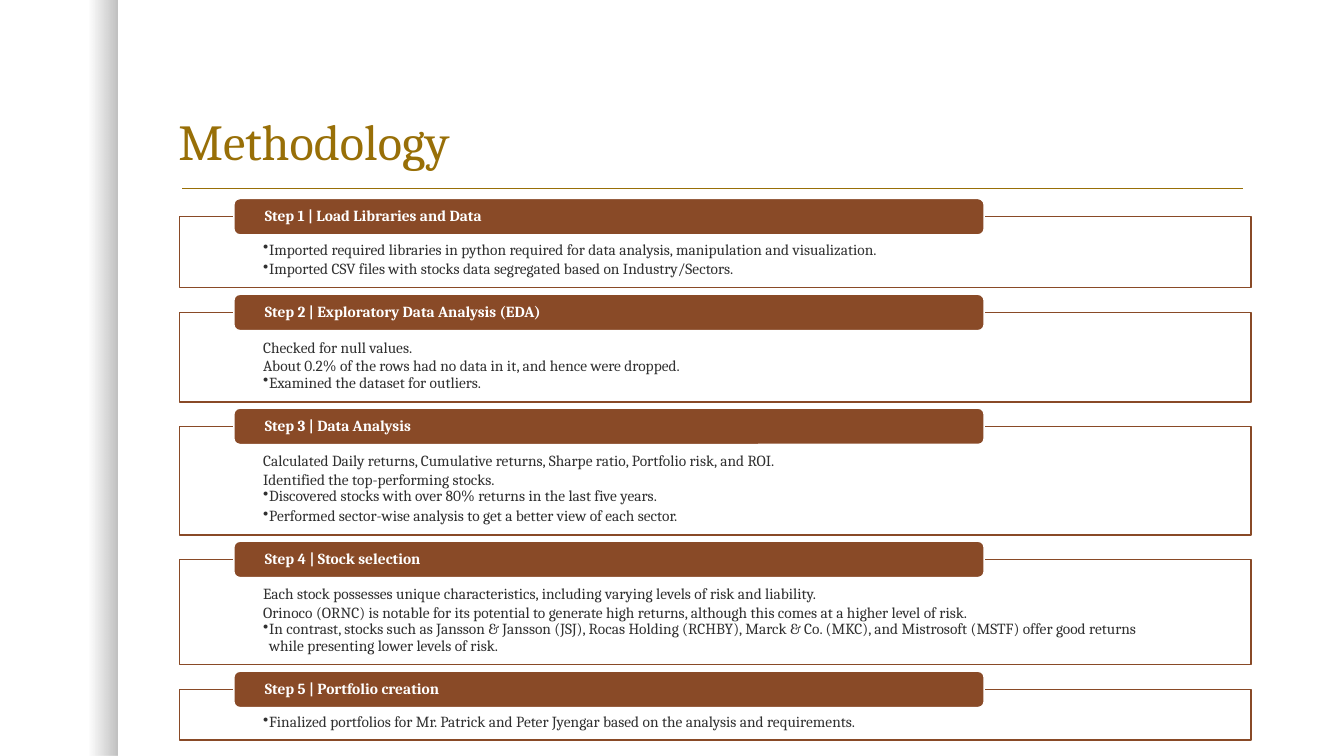
from lxml.etree import SubElement
from pptx import Presentation
from pptx.dml.color import RGBColor
from pptx.enum.shapes import MSO_CONNECTOR, MSO_SHAPE
from pptx.enum.text import MSO_ANCHOR, PP_ALIGN
from pptx.oxml.ns import qn
from pptx.util import Inches, Pt

GOLD = RGBColor(0x98, 0x6F, 0x07)
BROWN = RGBColor(0x89, 0x4A, 0x27)
INK = RGBColor(0x30, 0x30, 0x30)
WHITE = RGBColor(0xFF, 0xFF, 0xFF)
BLACK = RGBColor(0, 0, 0)

TITLE_FONT = {"name": "Cambria", "size": Pt(36)}
HEADING_FONT = {"name": "Cambria", "size": Pt(11), "bold": True}
BODY_FONT = {"name": "Cambria", "size": Pt(11)}
BULLET_INDENT = Inches(0.06)

# Heading, panel top, panel height, plain lines, bulleted lines
STEPS = [
    ("Step 1 | Load Libraries and Data", 2.15, 0.7, [], [
        "Imported required libraries in python required for data analysis, "
        "manipulation and visualization.",
        "Imported CSV files with stocks data segregated based on Industry/Sectors."]),
    ("Step 2 | Exploratory Data Analysis (EDA)", 3.1, 0.89, [
        "Checked for null values.",
        "About 0.2% of the rows had no data in it, and hence were dropped."], [
        "Examined the dataset for outliers."]),
    ("Step 3 | Data Analysis", 4.23, 1.08, [
        "Calculated Daily returns, Cumulative returns, Sharpe ratio, "
        "Portfolio risk, and ROI.",
        "Identified the top-performing stocks."], [
        "Discovered stocks with over 80% returns in the last five years.",
        "Performed sector-wise analysis to get a better view of each sector."]),
    ("Step 4 | Stock selection", 5.55, 1.04, [
        "Each stock possesses unique characteristics, including varying levels "
        "of risk and liability.",
        "Orinoco (ORNC) is notable for its potential to generate high returns, "
        "although this comes at a higher level of risk."], [
        "In contrast, stocks such as Jansson & Jansson (JSJ), Rocas Holding (RCHBY), "
        "Marck & Co. (MKC), and Mistrosoft (MSTF) offer good returns while "
        "presenting lower levels of risk."]),
    ("Step 5 | Portfolio creation", 6.84, 0.5, [], [
        "Finalized portfolios for Mr. Patrick and Peter Jyengar based on the "
        "analysis and requirements."]),
]


def apply(target, values):
    for name, value in values.items():
        setattr(target, name, value)


def set_alpha(color_element, percent):
    SubElement(color_element, qn("a:alpha"), val=str(percent * 1000))


def add_block(page, kind, box, fill, line):
    block = page.shapes.add_shape(kind, *map(Inches, box))
    block.shadow.inherit = False
    block.fill.solid()
    block.fill.fore_color.rgb = fill
    block.line.color.rgb = line
    block.line.width = Pt(1)
    return block


def set_frame(frame, anchor, left, top, right, bottom):
    apply(frame, {"word_wrap": True, "vertical_anchor": anchor,
                  "margin_left": Inches(left), "margin_top": Inches(top),
                  "margin_right": Inches(right), "margin_bottom": Inches(bottom)})


def write(para, text, font, color, spacing=0.9, after=0):
    apply(para, {"alignment": PP_ALIGN.LEFT, "line_spacing": spacing,
                 "space_after": Pt(after)})
    span = para.add_run()
    span.text = text
    apply(span.font, font)
    span.font.color.rgb = color


def add_bullet(para):
    properties = para._p.get_or_add_pPr()
    properties.set("marL", str(BULLET_INDENT))
    properties.set("indent", str(-BULLET_INDENT))
    SubElement(properties, qn("a:buChar"), char="•")


def add_edge_shade(page, box):
    shade = page.shapes.add_shape(MSO_SHAPE.RECTANGLE, *map(Inches, box))
    shade.shadow.inherit = False
    shade.line.fill.background()
    shade.fill.gradient()
    shade.fill.gradient_angle = 0
    for stop, position in zip(shade.fill.gradient_stops, (0.75, 1)):
        stop.position = position
        stop.color.rgb = BLACK
    colors = shade.fill._xPr.iter(qn("a:srgbClr"))
    for color, alpha in zip(list(colors), (0, 25)):
        set_alpha(color, alpha)


def add_title(page, box):
    left, top, width, height = box
    title = page.shapes.add_textbox(*map(Inches, box))
    set_frame(title.text_frame, MSO_ANCHOR.BOTTOM, 0.1, 0.05, 0.1, 0.05)
    write(title.text_frame.paragraphs[0], "Methodology", TITLE_FONT, GOLD)
    # Rule below the title
    rule_y = Inches(top + height + 0.12)
    rule = page.shapes.add_connector(
        MSO_CONNECTOR.STRAIGHT, Inches(left + 0.14), rule_y,
        Inches(left + width - 0.09), rule_y)
    rule.line.color.rgb = GOLD
    rule.line.width = Pt(1)
    SubElement(rule._element.spPr, qn("a:effectLst"))


def add_step(page, box, heading, plain, bulleted):
    left, top, width, height = box
    # Outlined panel with the details
    panel = add_block(page, MSO_SHAPE.RECTANGLE, box, WHITE, BROWN)
    set_alpha(next(panel.fill._xPr.find(qn("a:solidFill")).iter(qn("a:srgbClr"))), 90)
    frame = panel.text_frame
    set_frame(frame, MSO_ANCHOR.TOP, 0.83, 0.25, 0.83, 0.09)
    for index, text in enumerate(plain + bulleted):
        para = frame.add_paragraph() if index else frame.paragraphs[0]
        if index < len(plain):
            write(para, text, BODY_FONT, INK, spacing=1.0)
        else:
            add_bullet(para)
            write(para, text, BODY_FONT, INK, after=2)
    # Heading tab over the top edge
    tab = add_block(page, MSO_SHAPE.ROUNDED_RECTANGLE,
                    (left + 0.54, top - 0.18, width * 0.7, 0.36), BROWN, WHITE)
    set_frame(tab.text_frame, MSO_ANCHOR.MIDDLE, 0.29, 0, 0.29, 0)
    write(tab.text_frame.paragraphs[0], heading, HEADING_FONT, WHITE)


def main():
    deck = Presentation()
    deck.slide_width, deck.slide_height = Inches(13.33), Inches(7.5)
    page = deck.slides.add_slide(deck.slide_layouts[6])
    page.background.fill.solid()
    page.background.fill.fore_color.rgb = WHITE
    add_edge_shade(page, (0, 0, 1.17, 7.5))
    add_title(page, (1.67, 0.42, 10.75, 1.33))
    for heading, top, height, plain, bulleted in STEPS:
        add_step(page, (1.78, top, 10.63, height), heading, plain, bulleted)
    deck.save("out.pptx")


if __name__ == "__main__":
    main()
